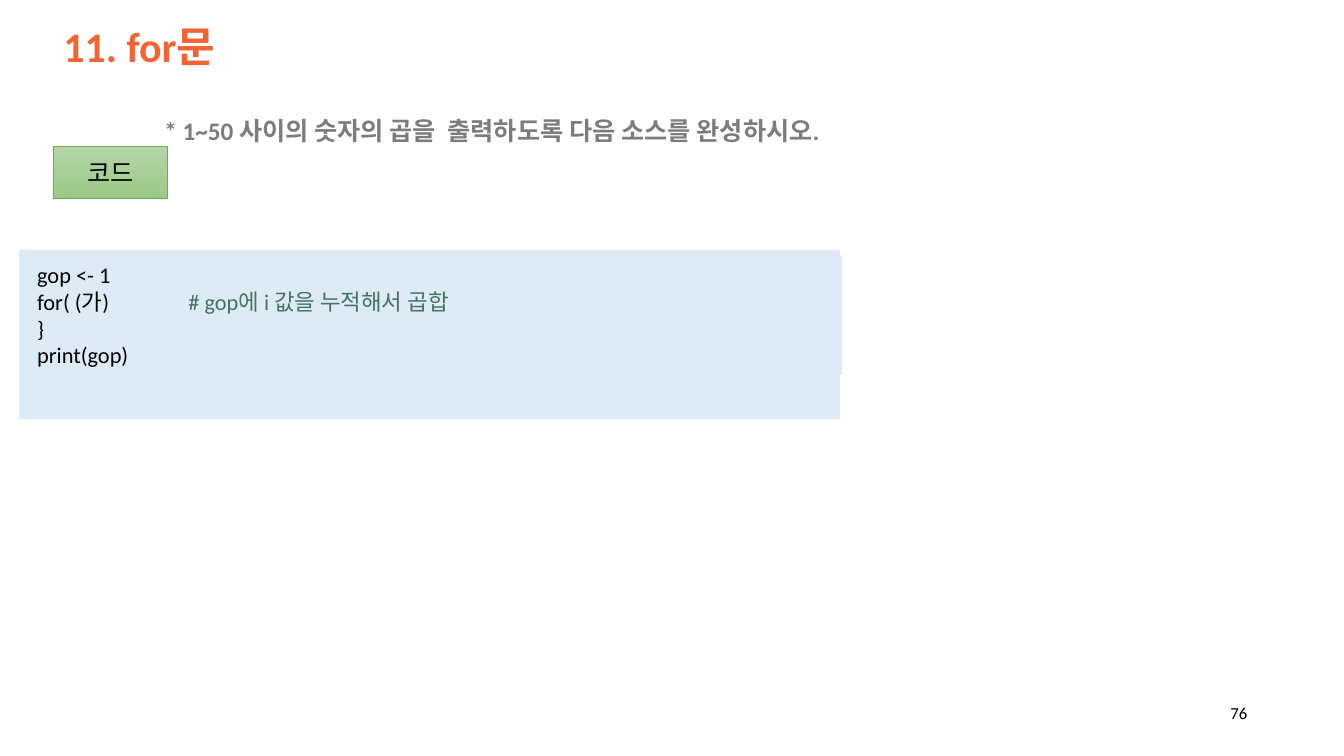
from dataclasses import dataclass

from lxml import etree
from pptx import Presentation
from pptx.dml.color import RGBColor
from pptx.enum.shapes import MSO_SHAPE
from pptx.enum.text import MSO_ANCHOR, PP_ALIGN
from pptx.oxml.ns import qn
from pptx.util import Pt

RECT = MSO_SHAPE.RECTANGLE
TOP, MID = MSO_ANCHOR.TOP, MSO_ANCHOR.MIDDLE
LEFT, MIDDLE, RIGHT = PP_ALIGN.LEFT, PP_ALIGN.CENTER, PP_ALIGN.RIGHT
SCALE = 9144


@dataclass(frozen=True)
class Theme:
    font: str = "Calibri"
    title: str = "F06436"
    task: str = "7C7C7C"
    ink: str = "000000"
    note: str = "437361"
    panel: str = "DEEBF7"
    light: str = "B5D5A7"
    dark: str = "9CC987"
    edge: str = "70AD47"
    head: int = 30
    body: int = 18
    code: int = 16
    page: int = 12


LOOK = Theme()


def px(*nums):
    return [num * SCALE for num in nums]


def write(shape, lines, size, color=LOOK.ink, bold=False, align=LEFT,
          anchor=TOP, space=1.0, inset=(10, 5), tabs=()):
    frame = shape.text_frame
    frame.word_wrap = True
    frame.vertical_anchor = anchor
    frame.margin_left, frame.margin_top = px(*inset)
    for row, parts in enumerate(lines):
        para = frame.paragraphs[0] if row == 0 else frame.add_paragraph()
        para.alignment = align
        para.line_spacing = space
        for text, tint in parts:
            run = para.add_run()
            run.text = text
            font = run.font
            font.name, font.size, font.bold = LOOK.font, Pt(size), bold
            font.color.rgb = RGBColor.from_string(tint or color)
        if tabs:
            stops = etree.SubElement(para._p.get_or_add_pPr(), qn("a:tabLst"))
            for stop in px(*tabs):
                etree.SubElement(stops, qn("a:tab"), pos=str(stop), algn="l")


def label(slide, box, text, size, **style):
    shape = slide.shapes.add_textbox(*px(*box))
    write(shape, [[(text, None)]], size, **style)


def panel(slide, box):
    shape = slide.shapes.add_shape(RECT, *px(*box))
    shape.shadow.inherit = False
    shape.fill.solid()
    shape.fill.fore_color.rgb = RGBColor.from_string(LOOK.panel)
    shape.line.fill.background()
    return shape


def badge(slide, box, text):
    shape = slide.shapes.add_shape(RECT, *px(*box))
    shape.shadow.inherit = False
    shape.fill.gradient()
    shape.fill.gradient_angle = 270
    for stop, tint in zip(shape.fill.gradient_stops, (LOOK.light, LOOK.dark)):
        stop.color.rgb = RGBColor.from_string(tint)
    shape.line.color.rgb = RGBColor.from_string(LOOK.edge)
    shape.line.width = Pt(0.5)
    write(shape, [[(text, None)]], LOOK.body, align=MIDDLE, anchor=MID)


def main():
    deck = Presentation()
    deck.slide_width, deck.slide_height = px(1333, 750)
    slide = deck.slides.add_slide(deck.slide_layouts[6])

    label(slide, (53, 12, 1234, 73), "11. for문", LOOK.head,
          color=LOOK.title, bold=True, anchor=MID, space=0.9)
    label(slide, (136, 72, 1102, 506),
          "* 1~50 사이의 숫자의 곱을  출력하도록 다음 소스를 완성하시오.",
          LOOK.body, color=LOOK.task, bold=True, space=0.9, inset=(27, 46))

    panel(slide, (19, 248, 814, 168))
    code = [
        [("gop <- 1", None)],
        [("for( (가)\t\t", None), ("# gop에 i 값을 누적해서 곱합", LOOK.note)],
        [("}", None)],
        [("print(gop)", None)],
    ]
    write(panel(slide, (27, 254, 808, 118)), code, LOOK.code, tabs=(100, 150))

    label(slide, (1203, 687, 44, 40), "76", LOOK.page,
          align=RIGHT, anchor=MID)
    badge(slide, (53, 145, 113, 52), "코드")
    deck.save("out.pptx")


if __name__ == "__main__":
    main()
